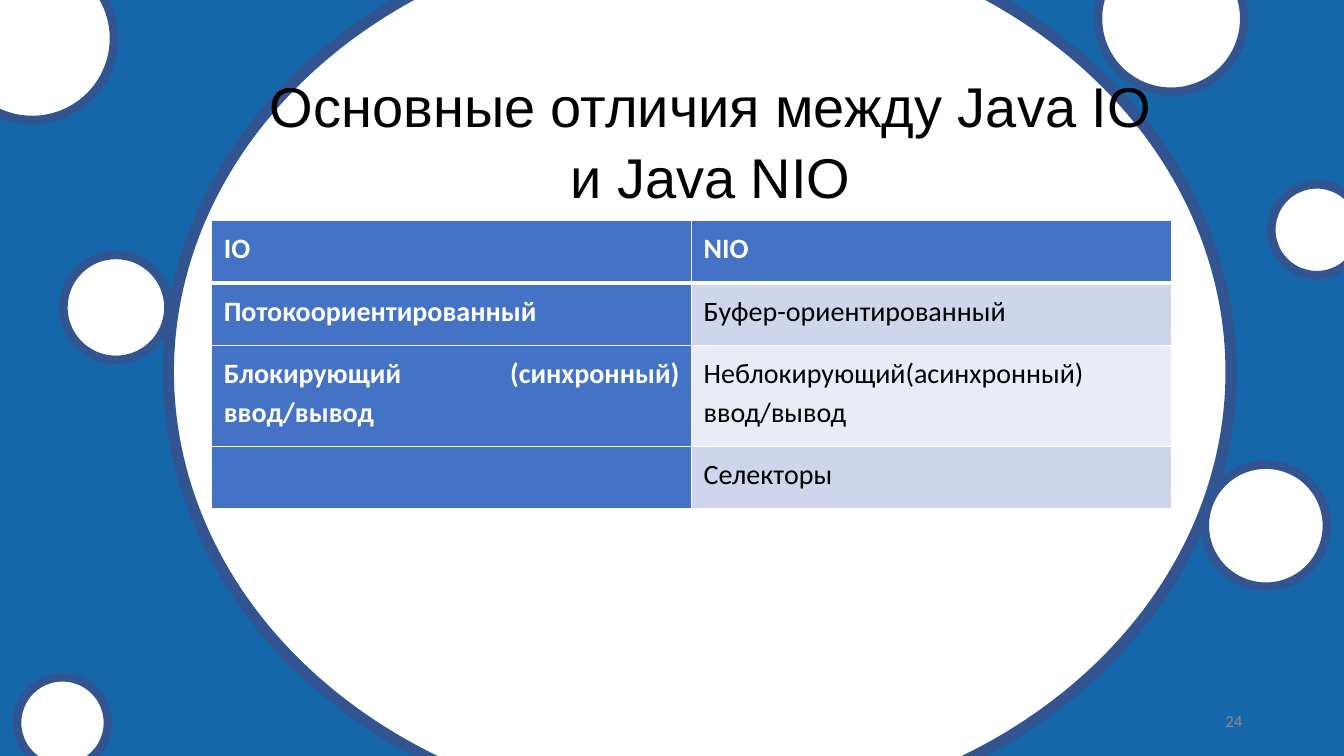
from lxml import etree
from pptx import Presentation
from pptx.dml.color import RGBColor
from pptx.enum.shapes import MSO_SHAPE
from pptx.enum.text import MSO_ANCHOR, PP_ALIGN
from pptx.oxml.ns import qn
from pptx.util import Inches, Pt

COLORS = {
    "background": "1567A9", "outline": "325491", "white": "FFFFFF", "black": "000000",
    "number": "8C8C8C", "header": "4472C4", "band_dark": "CFD5EA", "band_light": "E9EBF5",
}


def color(name):
    return RGBColor.from_string(COLORS[name])


def add_text(paragraph, text, size, font, color_name, bold=False):
    run = paragraph.add_run()
    run.text = text
    run.font.size = Pt(size)
    run.font.name = font
    run.font.bold = bold
    run.font.color.rgb = color(color_name)


presentation = Presentation()
presentation.slide_width = Inches(13.33)
presentation.slide_height = Inches(7.5)
slide = presentation.slides.add_slide(presentation.slide_layouts[5])
slide.background.fill.solid()
slide.background.fill.fore_color.rgb = color("background")

# Circles: left, top, width, height, outline width
circles = [
    (1.67, -0.76, 10.54, 8.9, 8),
    (11.95, 4.61, 1.21, 1.21, 6),
    (0.17, 6.72, 0.9, 0.9, 6),
    (-0.49, -0.43, 1.62, 1.62, 6),
    (10.89, -0.54, 1.45, 1.45, 6),
    (12.61, 1.83, 0.9, 0.9, 6),
    (0.63, 2.53, 1.04, 1.04, 6),
]
for *box, outline_width in circles:
    circle = slide.shapes.add_shape(MSO_SHAPE.OVAL, *[Inches(length) for length in box])
    circle.shadow.inherit = False
    circle.fill.solid()
    circle.fill.fore_color.rgb = color("white")
    circle.line.color.rgb = color("outline")
    circle.line.width = Pt(outline_width)

# Title, brought in front of the circles
title = slide.shapes.title
title.element.getparent().append(title.element)
title.left, title.top = Inches(2.49), Inches(0.63)
title.width, title.height = Inches(9.11), Inches(1.45)
title.text_frame.word_wrap = True
title.text_frame.vertical_anchor = MSO_ANCHOR.TOP
title_paragraph = title.text_frame.paragraphs[0]
title_paragraph.alignment = PP_ALIGN.CENTER
title_paragraph.line_spacing = 1.05
add_text(title_paragraph, "Основные отличия между Java IO и Java NIO", 40, "Arial", "black")

# Slide number
number_box = slide.shapes.add_textbox(Inches(9.42), Inches(6.95), Inches(3), Inches(0.4))
number_box.text_frame.word_wrap = True
number_box.text_frame.vertical_anchor = MSO_ANCHOR.MIDDLE
number_paragraph = number_box.text_frame.paragraphs[0]
number_paragraph.alignment = PP_ALIGN.RIGHT
add_text(number_paragraph, "24", 12, "Calibri", "number")

# Comparison table
rows = [
    ("IO", "NIO"),
    ("Потокоориентированный", "Буфер-ориентированный"),
    ("Блокирующий (синхронный) ввод/вывод", "Неблокирующий(асинхронный) ввод/вывод"),
    ("", "Селекторы"),
]
row_heights = [0.62, 0.62, 1, 0.62]
table = slide.shapes.add_table(
    len(rows), 2, Inches(2.1), Inches(2.19), Inches(9.52), Inches(sum(row_heights))
).table
for column in table.columns:
    column.width = Inches(4.76)

for row_index, texts in enumerate(rows):
    table.rows[row_index].height = Inches(row_heights[row_index])
    for column_index, text in enumerate(texts):
        cell = table.cell(row_index, column_index)
        is_heading = row_index == 0 or column_index == 0
        band = "band_dark" if row_index % 2 else "band_light"
        cell.margin_left = cell.margin_right = Inches(0.12)
        cell.margin_top, cell.margin_bottom = Inches(0.06), Inches(0.09)

        # Borders come before the fill in the cell properties
        properties = cell._tc.get_or_add_tcPr()
        for side in ("L", "R", "T", "B"):
            under_header = (row_index, side) in ((0, "B"), (1, "T"))
            border = etree.SubElement(properties, qn(f"a:ln{side}"), w=str(Pt(3 if under_header else 1)))
            border_fill = etree.SubElement(border, qn("a:solidFill"))
            etree.SubElement(border_fill, qn("a:srgbClr"), val=COLORS["white"])
        cell.fill.solid()
        cell.fill.fore_color.rgb = color("header" if is_heading else band)

        if text:
            paragraph = cell.text_frame.paragraphs[0]
            paragraph.alignment = PP_ALIGN.JUSTIFY
            paragraph.line_spacing = 1.15
            add_text(paragraph, text, 20, "Calibri", "white" if is_heading else "black", is_heading)

presentation.save("out.pptx")
